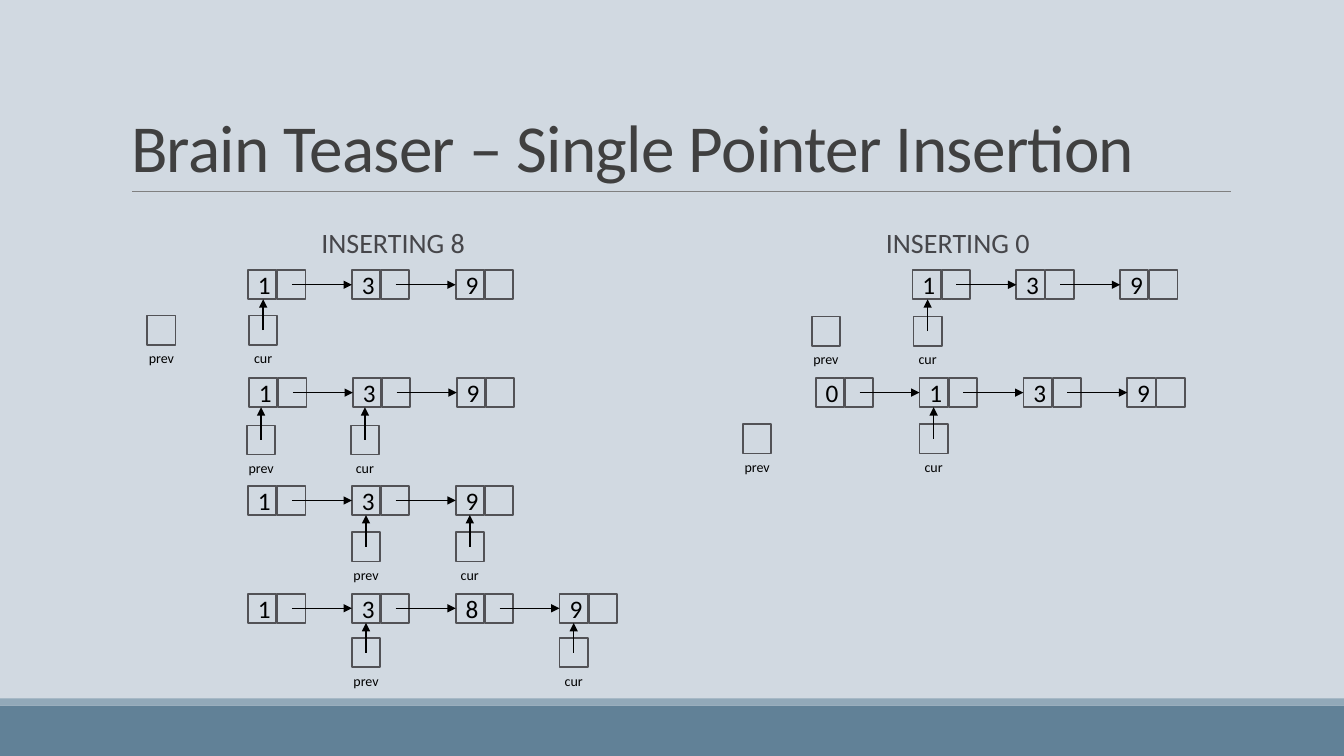
from lxml import etree
from pptx import Presentation
from pptx.dml.color import RGBColor
from pptx.enum.shapes import MSO_CONNECTOR, MSO_SHAPE
from pptx.enum.text import MSO_ANCHOR, PP_ALIGN
from pptx.oxml.ns import qn
from pptx.util import Inches, Pt

RECT, STRAIGHT = MSO_SHAPE.RECTANGLE, MSO_CONNECTOR.STRAIGHT
MIDDLE, BOTTOM = MSO_ANCHOR.MIDDLE, MSO_ANCHOR.BOTTOM
LEFT, CENTER = PP_ALIGN.LEFT, PP_ALIGN.CENTER

TITLE = "Brain Teaser – Single Pointer Insertion"
# heading, left edge of heading, steps from top to bottom;
# step: left edge of list, values, drop to pointers, {pointer: column in list}
PANELS = [
    ("INSERTING 8", 1.2, [
        (2.46, "139", 0.45, {"cur": 0.01, "prev": -0.97}),
        (2.47, "139", 0.47, {"cur": 0.98, "prev": -0.02}),
        (2.46, "139", 0.46, {"cur": 2, "prev": 1}),
        (2.46, "1389", 0.44, {"cur": 3, "prev": 1}),
    ]),
    ("INSERTING 0", 6.8, [
        (9.05, "139", 0.46, {"cur": 0.01, "prev": -0.97}),
        (8.09, "0139", 0.46, {"cur": 1, "prev": -0.7}),
    ]),
]
BANDS = [(7, 0.5, "618197"), (6.93, 0.07, "92A9B9")]
LABEL_WIDTH = {"cur": 0.4, "prev": 0.49}

WIDTH, HEIGHT = 13.33, 7.5
TOP, ROW, COLUMN = 2.68, 1.07, 1.03
CELL_W, CELL_H, CELL_STEP = 0.28, 0.29, 0.29
FONT, INK, OUTLINE = "Calibri", "000000", "525256"


def color(value):
    return RGBColor.from_string(value)


def write(sp, text, size, ink, align=CENTER, anchor=None):
    tf = sp.text_frame
    tf.word_wrap = True
    tf.text = text
    if anchor is not None:
        tf.vertical_anchor = anchor
    p = tf.paragraphs[0]
    p.alignment = align
    font = p.runs[0].font
    font.name, font.size = FONT, Pt(size)
    font.color.rgb = color(ink)
    return p


def add_rect(s, x, y, w, h, fill=None):
    """Add a filled band, or an outlined cell when no fill is given."""
    sp = s.shapes.add_shape(RECT, Inches(x), Inches(y), Inches(w), Inches(h))
    sp.shadow.inherit = False
    if fill:
        sp.fill.solid()
        sp.fill.fore_color.rgb = color(fill)
        sp.line.fill.background()
    else:
        sp.fill.background()
        sp.line.color.rgb = color(OUTLINE)
        sp.line.width = Pt(1.25)
    return sp


def add_text(s, x, y, w, h, *style, **options):
    box = s.shapes.add_textbox(Inches(x), Inches(y), Inches(w), Inches(h))
    return write(box, *style, **options)


def add_line(s, x1, y1, x2, y2, ink=INK, width=1, arrow=True):
    line = s.shapes.add_connector(STRAIGHT, Inches(x1), Inches(y1), Inches(x2), Inches(y2))
    line.line.color.rgb = color(ink)
    line.line.width = Pt(width)
    if arrow:
        etree.SubElement(line.line._get_or_add_ln(), qn("a:tailEnd"), type="triangle")
    etree.SubElement(line._element.spPr, qn("a:effectLst"))


def add_list(s, left, y, values):
    for i, value in enumerate(values):
        x = left + i * COLUMN
        write(add_rect(s, x, y, CELL_W, CELL_H), value, 18, INK, anchor=MIDDLE)
        add_rect(s, x + CELL_STEP, y, CELL_W, CELL_H)
        if i:
            middle = y + CELL_H / 2
            add_line(s, x - COLUMN + 1.5 * CELL_STEP, middle, x, middle)


def add_pointer(s, x, list_y, drop, label, points):
    y, middle = list_y + drop, x + CELL_W / 2
    add_rect(s, x, y, CELL_W, CELL_H)
    w = LABEL_WIDTH[label]
    add_text(s, middle - w / 2, y + CELL_H, w, 0.27, label, 10, INK)
    if points:
        add_line(s, middle, y + CELL_H / 2, middle, list_y + CELL_H)


def main():
    prs = Presentation()
    prs.slide_width, prs.slide_height = Inches(WIDTH), Inches(HEIGHT)
    s = prs.slides.add_slide(prs.slide_layouts[5])
    s.background.fill.solid()
    s.background.fill.fore_color.rgb = color("D1D9E1")

    for y, h, fill in BANDS:
        add_rect(s, 0, y, WIDTH, h, fill)
    add_line(s, 1.31, 1.9, 12.21, 1.9, "808080", 0.5, arrow=False)

    title = s.shapes.title
    title.left, title.top = Inches(1.2), Inches(0.31)
    title.width, title.height = Inches(11), Inches(1.59)
    p = write(title, TITLE, 48, "404040", LEFT, BOTTOM)
    p.line_spacing = 0.85
    p.runs[0].font._element.set("spc", "-50")

    for heading, heading_x, steps in PANELS:
        p = add_text(s, heading_x, 2.02, 5.4, 0.81, heading, 20, "46464A", anchor=MIDDLE)
        p.line_spacing, p.space_before, p.space_after = 0.9, Pt(12), Pt(2)
        for i, (left, values, drop, pointers) in enumerate(steps):
            y = TOP + i * ROW
            add_list(s, left, y, values)
            for label, column in pointers.items():
                add_pointer(s, left + column * COLUMN, y, drop, label, column > -0.5)

    prs.save("out.pptx")


if __name__ == "__main__":
    main()
